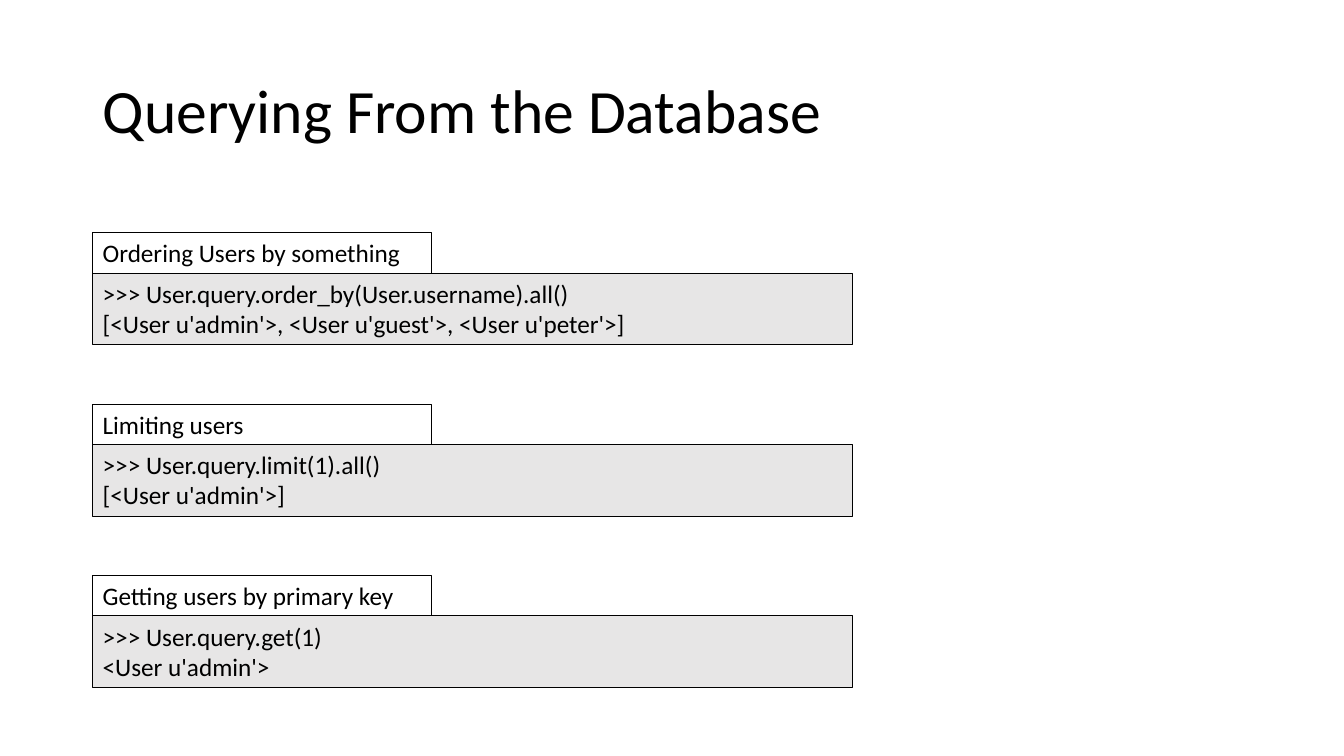
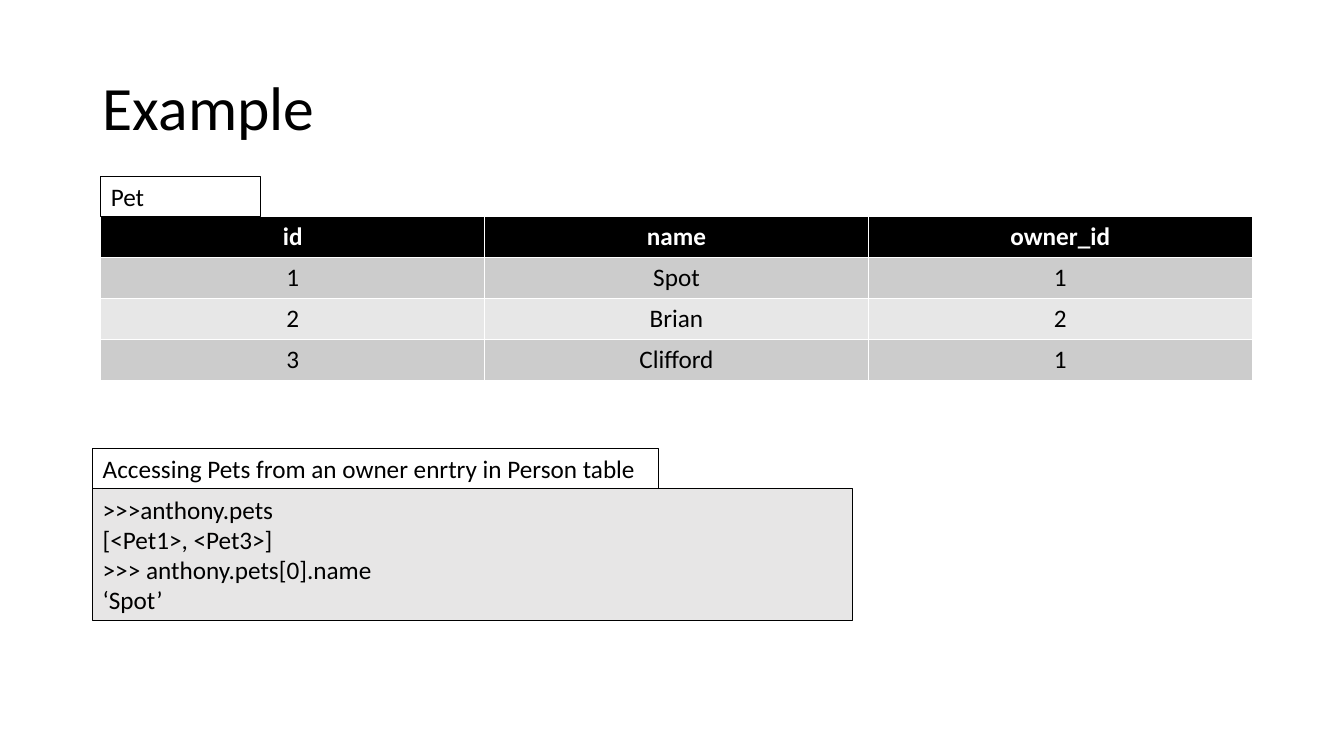
"""Build two slides on querying a database: code panels and an example table."""
import pptx
import pptx.dml.color
import pptx.enum.shapes
import pptx.enum.text
import pptx.util
from pptx.util import Inches

QUERIES = [
    ("Ordering Users by something",
     [">>> User.query.order_by(User.username).all()",
      "[<User u'admin'>, <User u'guest'>, <User u'peter'>]"]),
    ("Limiting users", [">>> User.query.limit(1).all()", "[<User u'admin'>]"]),
    ("Getting users by primary key", [">>> User.query.get(1)", "<User u'admin'>"]),
]
PET_ROWS = [
    ("id", "name", "owner_id"),
    ("1", "Spot", "1"),
    ("2", "Brian", "2"),
    ("3", "Clifford", "1"),
]
ACCESS_LABEL = "Accessing Pets from an owner enrtry in Person table"
ACCESS_CODE = [">>>anthony.pets", "[<Pet1>, <Pet3>]",
               ">>> anthony.pets[0].name", "‘Spot’"]

FONT = "Calibri"
BLACK, WHITE, CODE_GRAY = "000000", "FFFFFF", "E7E6E6"
BAND_COLORS = ["E7E7E7", "CCCCCC"]
LEFT, CODE_WIDTH = 0.92, 7.54
LABEL_HEIGHT, LINE_HEIGHT, PADDING = 0.4, 0.3, 0.11
QUERY_TOP, QUERY_PITCH, QUERY_LABEL_WIDTH = 2.31, 1.7, 3.36
TABLE_LEFT, TABLE_TOP, TABLE_WIDTH, ROW_HEIGHT = 1, 2.15, 11.42, 0.4


def color(value):
    return pptx.dml.color.RGBColor.from_string(value)


def style_paragraph(paragraph, size, text_color=BLACK, bold=False,
                    alignment=pptx.enum.text.PP_ALIGN.LEFT):
    paragraph.alignment = alignment
    paragraph.font.name = FONT
    paragraph.font.size = pptx.util.Pt(size)
    paragraph.font.bold = bold
    paragraph.font.color.rgb = color(text_color)


def add_slide(presentation, title, top):
    slide = presentation.slides.add_slide(presentation.slide_layouts[5])
    shape = slide.shapes.title
    shape.left, shape.top = Inches(LEFT), Inches(top)
    shape.width, shape.height = Inches(11.5), Inches(1.45)
    shape.text_frame.text = title
    shape.text_frame.vertical_anchor = pptx.enum.text.MSO_ANCHOR.MIDDLE
    paragraph = shape.text_frame.paragraphs[0]
    paragraph.line_spacing = 0.9
    style_paragraph(paragraph, 44)
    return slide


def add_box(shapes, lines, left, top, width, height, fill=None):
    shape = shapes.add_shape(pptx.enum.shapes.MSO_SHAPE.RECTANGLE, Inches(left),
                             Inches(top), Inches(width), Inches(height))
    shape.shadow.inherit = False
    if fill:
        shape.fill.solid()
        shape.fill.fore_color.rgb = color(fill)
    else:
        shape.fill.background()
    shape.line.color.rgb = color(BLACK)
    shape.line.width = pptx.util.Pt(0.75)
    frame = shape.text_frame
    frame.text = "\n".join(lines)
    frame.word_wrap = True
    frame.auto_size = pptx.enum.text.MSO_AUTO_SIZE.SHAPE_TO_FIT_TEXT
    frame.vertical_anchor = pptx.enum.text.MSO_ANCHOR.TOP
    for paragraph in frame.paragraphs:
        style_paragraph(paragraph, 18)


def add_code_panel(slide, label, lines, top, label_width):
    group = slide.shapes.add_group_shape()
    add_box(group.shapes, lines, LEFT, top + LABEL_HEIGHT, CODE_WIDTH,
            PADDING + LINE_HEIGHT * len(lines), CODE_GRAY)
    add_box(group.shapes, [label], LEFT, top, label_width, LABEL_HEIGHT)


def add_pet_table(slide):
    table = slide.shapes.add_table(
        len(PET_ROWS), len(PET_ROWS[0]), Inches(TABLE_LEFT), Inches(TABLE_TOP),
        Inches(TABLE_WIDTH), Inches(ROW_HEIGHT * len(PET_ROWS))).table
    for row, values in enumerate(PET_ROWS):
        header = row == 0
        for column, value in enumerate(values):
            cell = table.cell(row, column)
            cell.text = value
            cell.fill.solid()
            cell.fill.fore_color.rgb = color(BLACK if header else BAND_COLORS[row % 2])
            style_paragraph(cell.text_frame.paragraphs[0], 18,
                            WHITE if header else BLACK, header,
                            pptx.enum.text.PP_ALIGN.CENTER)


presentation = pptx.Presentation()
presentation.slide_width, presentation.slide_height = Inches(13.33), Inches(7.5)

query_slide = add_slide(presentation, "Querying From the Database", 0.4)
for index, (label, lines) in enumerate(QUERIES):
    add_code_panel(query_slide, label, lines, QUERY_TOP + index * QUERY_PITCH,
                   QUERY_LABEL_WIDTH)

example_slide = add_slide(presentation, "Example", 0.37)
add_pet_table(example_slide)
add_code_panel(example_slide, ACCESS_LABEL, ACCESS_CODE, 4.45, 5.61)
add_box(example_slide.shapes, ["Pet"], TABLE_LEFT, TABLE_TOP - LABEL_HEIGHT,
        1.58, LABEL_HEIGHT)

presentation.save("out.pptx")
